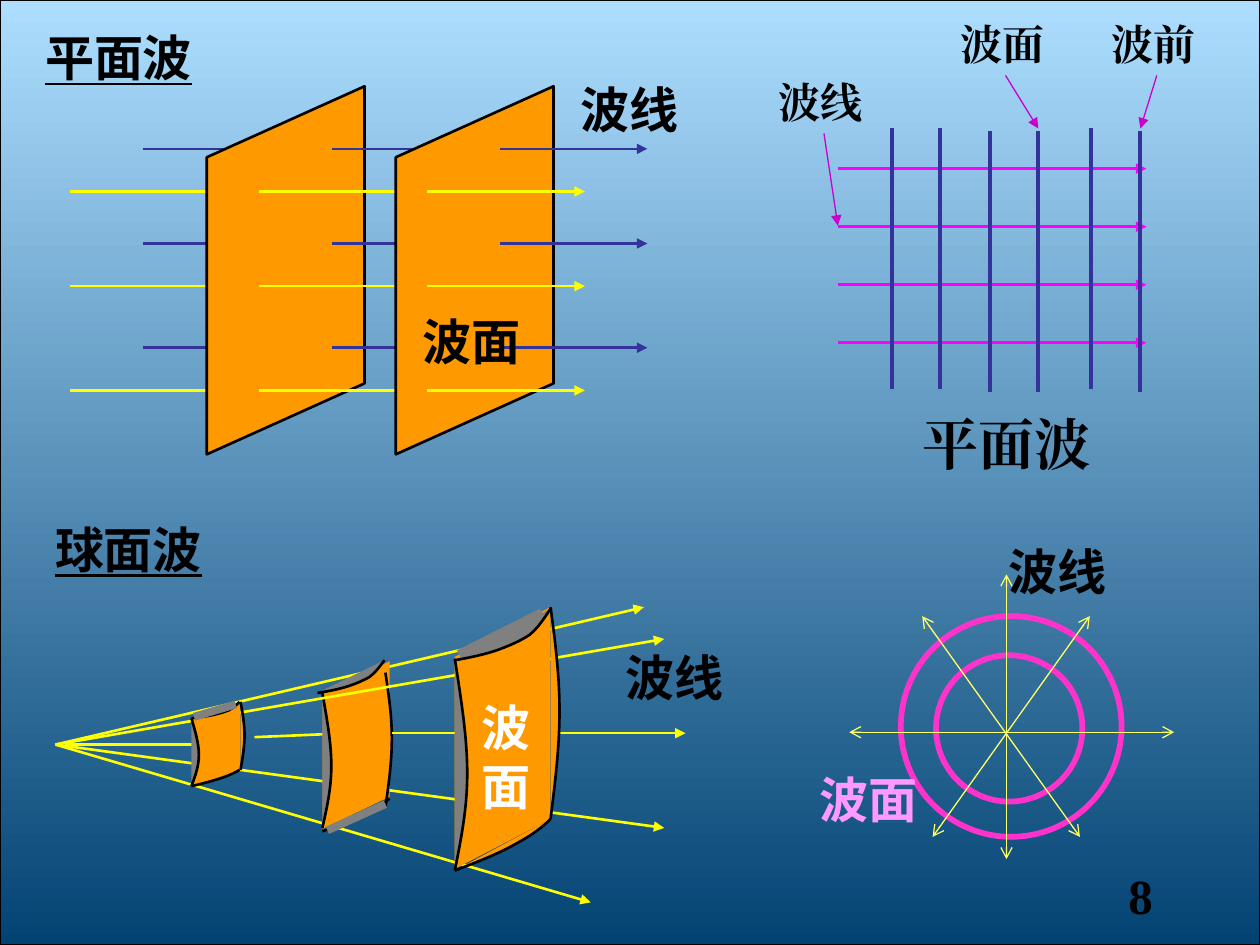
from lxml.etree import SubElement
from pptx import Presentation
from pptx.dml.color import RGBColor
from pptx.enum.shapes import MSO_CONNECTOR, MSO_SHAPE
from pptx.enum.text import MSO_ANCHOR, PP_ALIGN
from pptx.oxml.ns import qn
from pptx.util import Cm, Pt

YELLOW, BLUE, ORANGE, GREY = "FFFF00", "333399", "FF9900", "808080"
MAGENTA, PINK, PALE_YELLOW, BLACK = "FF00FF", "FF33CC", "FFFF66", "000000"
color = RGBColor.from_string

presentation = Presentation()
presentation.slide_width, presentation.slide_height = Cm(25.4), Cm(19.05)
slide = presentation.slides.add_slide(presentation.slide_layouts[6])
shapes = slide.shapes


def add_line(x1, y1, x2, y2, line_color, width=1.5, tail=None, head=None):
    connector = shapes.add_connector(
        MSO_CONNECTOR.STRAIGHT, Cm(x1), Cm(y1), Cm(x2), Cm(y2))
    connector.line.color.rgb = color(line_color)
    connector.line.width = Pt(width)
    properties = connector._element.spPr
    SubElement(properties, qn("a:effectLst"))
    line = properties.find(qn("a:ln"))
    for tag, arrow in (("a:headEnd", head), ("a:tailEnd", tail)):
        if arrow:
            SubElement(line, qn(tag), type=arrow)


def add_sheet(center_x, center_y, length, depth, slant):
    """Add an upright orange parallelogram that rises to the right."""
    sheet = shapes.add_shape(
        MSO_SHAPE.PARALLELOGRAM, Cm(center_x - length / 2),
        Cm(center_y - depth / 2), Cm(length), Cm(depth))
    sheet.adjustments[0] = slant
    sheet.rotation = 270
    sheet._element.spPr.find(qn("a:xfrm")).set("flipH", "1")
    sheet.shadow.inherit = False
    sheet.fill.solid()
    sheet.fill.fore_color.rgb = color(ORANGE)
    sheet.line.fill.background()
    return sheet


# Gradient backdrop
backdrop = shapes.add_shape(MSO_SHAPE.RECTANGLE, 0, 0, Cm(25.4), Cm(19.05))
backdrop.shadow.inherit = False
backdrop.fill.gradient()
backdrop.fill.gradient_angle = 270
for stop, stop_color in zip(backdrop.fill.gradient_stops, ("ADDEFF", "034373")):
    stop.color.rgb = color(stop_color)
backdrop.line.color.rgb = color(BLACK)
backdrop.line.width = Pt(0.75)

# Spherical wave in section: circular wave surfaces
for left, top, diameter in ((18.16, 12.42, 4.45), (18.87, 13.21, 2.95)):
    circle = shapes.add_shape(
        MSO_SHAPE.OVAL, Cm(left), Cm(top), Cm(diameter), Cm(diameter))
    circle.shadow.inherit = False
    circle.fill.background()
    circle.line.color.rgb = color(PINK)
    circle.line.width = Pt(3.25)

# Radial rays; the vertical one is an outline along the right side of its box
add_line(17.12, 14.76, 23.67, 14.76, PALE_YELLOW, 0.75, "arrow", "arrow")
builder = shapes.build_freeform(Cm(20.07), Cm(11.58))
builder.move_to(Cm(20.29), Cm(11.58))
builder.add_line_segments([(Cm(20.29), Cm(17.32))], close=False)
vertical_ray = builder.convert_to_shape()
outline = next(vertical_ray._element.iter(qn("a:path")))
outline.remove(outline[0])
vertical_ray.shadow.inherit = False
vertical_ray.fill.background()
vertical_ray.line.color.rgb = color(PALE_YELLOW)
vertical_ray.line.width = Pt(0.75)
for tag in ("a:headEnd", "a:tailEnd"):
    SubElement(vertical_ray._element.spPr.find(qn("a:ln")), qn(tag), type="arrow")
for ends in ((21.97, 12.42, 18.8, 16.87), (18.59, 12.42, 21.77, 16.87)):
    add_line(*ends, PALE_YELLOW, 0.75, "arrow", "arrow")

# Plane wave in space: three columns of rays with a sheet after the first two
for start, blue_length, is_last in (
        (1.42, 1.7, False), (5.23, 1.7, False), (8.61, 2.97, True)):
    tail = "triangle" if is_last else None
    for y in (5.77, 7.87, 3.86):
        add_line(start, y, start + 3.18, y, YELLOW, tail=tail)
        blue_start, blue_y = start + 1.47, y - 0.86
        add_line(blue_start, blue_y, blue_start + blue_length, blue_y, BLUE, tail=tail)
    if not is_last:
        plane = add_sheet(start + 4.34, 5.45, 7.42, 3.18, 0.45)
        plane.line.color.rgb = color(BLACK)
        plane.line.width = Pt(1.5)

# Edges of a curved patch: Bezier points as fractions of each edge's box
LEFT_EDGE = ((0, 0), (0.5, 0.19), (1, 0.37), (1, 0.54),
             (1, 0.71), (0.5, 0.85), (0, 1))
RIGHT_EDGE = ((0, 0), (0.5, 0.16), (1, 0.32), (1, 0.49),
              (1, 0.66), (0.5, 0.83), (0, 1))
TOP_EDGE = ((0, 1), (0.16, 0.95), (0.33, 0.88), (0.45, 0.8), (0.58, 0.71),
            (0.68, 0.63), (0.78, 0.51), (0.87, 0.37), (0.93, 0.2), (1, 0))
BOTTOM_EDGE = ((0, 1), (0.24, 0.83), (0.47, 0.66), (0.63, 0.49),
               (0.8, 0.32), (0.91, 0.17), (1, 0))
EDGES = (LEFT_EDGE, RIGHT_EDGE, TOP_EDGE, BOTTOM_EDGE)

# Each patch: sheet, boxes of its four edges, thick grey rim, top edge fill
small_patch = ((4.36, 15.01, 1.7, 0.97, 0.33),
               ((3.86, 14.48, 0.15, 1.37), (4.85, 14.15, 0.08, 1.37),
                (3.86, 14.15, 0.97, 0.33), (3.86, 15.52, 0.97, 0.33)),
               (4.75, 14.2, 3.91, 14.45), "33CCCC")
middle_patch = ((7.18, 15.02, 3.38, 1.35, 0.48),
                ((6.5, 13.97, 0.18, 2.72), (7.77, 13.56, 0.13, 2.72),
                 (6.4, 13.31, 1.35, 0.66), (6.5, 16.1, 1.35, 0.66)),
                (7.77, 16.21, 6.6, 16.74), GREY)
large_patch = ((10.13, 14.88, 5.28, 1.93, 0.52),
               ((9.17, 13.28, 0.25, 4.27), (11.1, 12.24, 0.18, 4.27),
                (9.17, 12.27, 1.93, 1.04), (9.17, 16.51, 1.93, 1.04)),
               (10.92, 12.34, 9.25, 13.18), GREY)

# Spherical wave in space: rays from one source, with the patches between them
source = (1.12, 15.01)
back_rays = ((5.13, 14.86, 7.04, 14.78, None),
             (*source, 13.39, 16.69, "triangle"),
             (*source, 11.91, 18.19, "triangle"),
             (*source, 12.98, 12.24, "triangle"))
front_rays = ((*source, 13.39, 12.88, "triangle"),
              (7.9, 14.78, 10.44, 14.78, None),
              (11.28, 14.78, 13.39, 14.78, None),
              (11.28, 14.78, 13.82, 14.78, "triangle"),
              (1.32, 15.01, 4.29, 15.01, None))
for rays, patches in ((back_rays, (middle_patch,)),
                      (front_rays, (small_patch, large_patch))):
    for *ends, tail in rays:
        add_line(*ends, YELLOW, tail=tail)
    for sheet, boxes, rim, top_fill in patches:
        add_sheet(*sheet)
        fills = (GREY, ORANGE, top_fill, ORANGE)
        for edge, fill_color, (left, top, width, height) in zip(EDGES, fills, boxes):
            points = [(Cm(left + x * width), Cm(top + y * height)) for x, y in edge]
            builder = shapes.build_freeform(*points[0])
            builder.add_line_segments(points[1:], close=False)
            curve = builder.convert_to_shape()
            # Join every three straight segments into one Bezier segment
            outline = next(curve._element.iter(qn("a:path")))
            segments = outline.findall(qn("a:lnTo"))
            for first in range(0, len(segments), 3):
                bezier = SubElement(outline, qn("a:cubicBezTo"))
                for segment in segments[first:first + 3]:
                    bezier.append(segment[0])
                    outline.remove(segment)
            curve.shadow.inherit = False
            curve.fill.solid()
            curve.fill.fore_color.rgb = color(fill_color)
            curve.line.color.rgb = color(BLACK)
            curve.line.width = Pt(1.5)
        add_line(*rim, GREY, 4.5)

# Plane wave in section: rays, wave surfaces and pointers from the labels
for row in range(4):
    y = 3.4 + 1.17 * row
    add_line(16.89, y, 23.11, y, MAGENTA, tail="triangle")
for x, top in ((17.98, 2.59), (18.95, 2.59), (19.96, 2.64),
               (20.93, 2.64), (22, 2.59), (22.99, 2.64)):
    add_line(x, top, x, top + 5.26, BLUE, 2.25)
for ends in ((16.61, 2.69, 16.89, 4.55), (20.27, 1.52, 20.93, 2.59),
             (23.32, 1.52, 22.99, 2.59)):
    add_line(*ends, "CC00CC", 0.75, "triangle")

# Headings, labels and page number
SANS, SLAB, SERIF = "Noto Sans CJK SC", "Roboto Slab", "Times New Roman"
for text, left, top, width, height, font_name, size, text_color, centered, wrap in (
        ("平面波", 0.66, 0.43, 3.51, 1.45, SANS, 28, BLACK, False, False),
        ("球面波", 0.86, 10.34, 4.45, 1.45, SANS, 28, BLACK, False, True),
        ("波面", 16.27, 15.39, 2.49, 1.45, SANS, 28, "FF99FF", False, False),
        ("波线", 20.08, 10.8, 2.49, 1.45, SANS, 28, BLACK, False, False),
        ("波面", 8.26, 6.15, 2.49, 1.45, SLAB, 28, BLACK, True, False),
        ("波线", 11.43, 1.47, 2.51, 1.45, SLAB, 28, BLACK, True, False),
        ("波线", 12.34, 12.93, 2.51, 1.45, SLAB, 28, BLACK, True, False),
        ("波面", 9.45, 13.94, 1.42, 2.62, SLAB, 28, "FFFFFF", True, True),
        ("波前", 22.15, 0.25, 2.34, 1.27, SERIF, 24, BLACK, False, True),
        ("波面", 19.11, 0.25, 2.34, 1.27, SERIF, 24, BLACK, False, True),
        ("波线", 15.44, 1.42, 2.34, 1.27, SERIF, 24, BLACK, False, True),
        ("平面波", 17.73, 8.13, 5.11, 1.6, SERIF, 32, BLACK, True, True),
        ("8", 22.5, 17.32, 2.31, 1.27, SERIF, 28, BLACK, False, True)):
    text_frame = shapes.add_textbox(Cm(left), Cm(top), Cm(width), Cm(height)).text_frame
    text_frame.text = text
    text_frame.word_wrap = wrap
    is_middle = font_name == SLAB
    text_frame.vertical_anchor = MSO_ANCHOR.MIDDLE if is_middle else MSO_ANCHOR.TOP
    paragraph = text_frame.paragraphs[0]
    paragraph.alignment = PP_ALIGN.CENTER if centered else PP_ALIGN.LEFT
    run = paragraph.runs[0]
    run.font.name, run.font.size, run.font.bold = font_name, Pt(size), True
    run.font.color.rgb = color(text_color)
    if font_name == SANS and text.endswith("面波"):
        run.font.underline = True
    SubElement(run._r.rPr, qn("a:ea"), typeface=font_name)

presentation.save("out.pptx")
